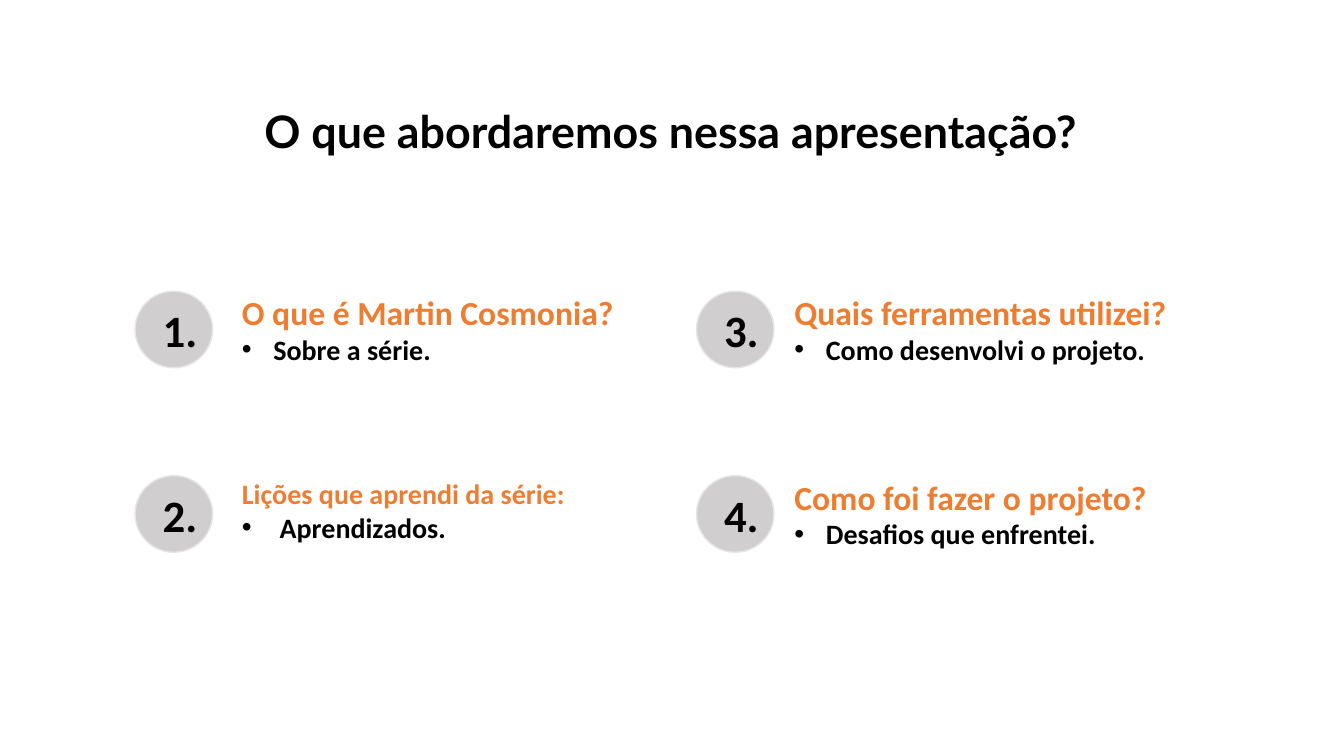
"""Builds the agenda slide with four numbered topics."""
from lxml.etree import SubElement
from pptx import Presentation
from pptx.dml.color import RGBColor
from pptx.enum.shapes import MSO_SHAPE as Shape
from pptx.enum.text import MSO_ANCHOR as Anchor, MSO_AUTO_SIZE as AutoSize, PP_ALIGN as Align
from pptx.oxml.ns import qn
from pptx.util import Pt

BLACK = RGBColor(0x00, 0x00, 0x00)
ORANGE = RGBColor(0xED, 0x7D, 0x31)
GREY = RGBColor(0xD0, 0xCE, 0xCE)
PALE_GREY = RGBColor(0xE7, 0xE6, 0xE6)

COLUMNS = [(96.5, 165.6), (497.5, 560.2)]
ROWS = [208, 339.8]
TOPICS = [
    ("O que é Martin Cosmonia?", "Sobre a série.", 24, 22.5, 281, 60.5),
    ("Lições que aprendi da série:", "Aprendizados.", 20, 27, 297, 80),
    ("Quais ferramentas utilizei?", "Como desenvolvi o projeto.", 24, 22.5, 281, 85),
    ("Como foi fazer o projeto?", "Desafios que enfrentei.", 24, 22.5, 281, 60.5),
]


def place(box, left, top, width, height):
    box.left, box.top, box.width, box.height = Pt(left), Pt(top), Pt(width), Pt(height)
    box.text_frame.word_wrap = True
    box.text_frame.auto_size = AutoSize.NONE
    box.text_frame.vertical_anchor = Anchor.TOP


def style(paragraph, size, color, font="Calibri", align=Align.LEFT):
    paragraph.alignment = align
    paragraph.line_spacing = 1.0
    paragraph.space_before = paragraph.space_after = Pt(0)
    for run in paragraph.runs:
        run.font.name = font
        run.font.size = Pt(size)
        run.font.bold = True
        run.font.color.rgb = color


prs = Presentation()
prs.slide_width, prs.slide_height = Pt(960), Pt(540)
slide = prs.slides.add_slide(prs.slide_layouts.get_by_name("Comparison"))

title = slide.shapes.title
title.text_frame.text = "O que abordaremos nessa apresentação?"
place(title, 169.2, 70.6, 620, 85)
style(title.text_frame.paragraphs[0], 32, BLACK, "Lato", Align.CENTER)

for index, (question, detail, size, indent, width, height) in enumerate(TOPICS):
    circle_left, topic_left = COLUMNS[index // 2]
    top = ROWS[index % 2]

    circle = slide.shapes.add_shape(
        Shape.OVAL, Pt(circle_left), Pt(top), Pt(55.4), Pt(54.7))
    circle.shadow.inherit = False
    circle.fill.solid()
    circle.fill.fore_color.rgb = GREY
    circle.line.color.rgb = PALE_GREY
    circle.line.width = Pt(1)

    topic = slide.placeholders[index + 1]
    topic.text_frame.text = f"{question}\n{detail}"
    place(topic, topic_left, top - 3, width, height)
    heading, item = topic.text_frame.paragraphs
    style(heading, size, ORANGE)
    style(item, 20, BLACK)

    heading_format = heading._p.get_or_add_pPr()
    heading_format.set("marL", "0")
    heading_format.set("indent", "0")
    SubElement(heading_format, qn("a:buNone"))

    item_format = item._p.get_or_add_pPr()
    item_format.set("marL", str(Pt(indent)))
    item_format.set("indent", str(-Pt(indent)))
    SubElement(item_format, qn("a:buFont")).set("typeface", "Arial")
    SubElement(item_format, qn("a:buChar")).set("char", "•")

    number = slide.shapes.add_textbox(0, 0, 0, 0)
    number.text_frame.text = f"{index + 1}."
    place(number, circle_left + 12.6, top + 4.7, 50.4, 46)
    style(number.text_frame.paragraphs[0], 32, BLACK)

prs.save("out.pptx")
